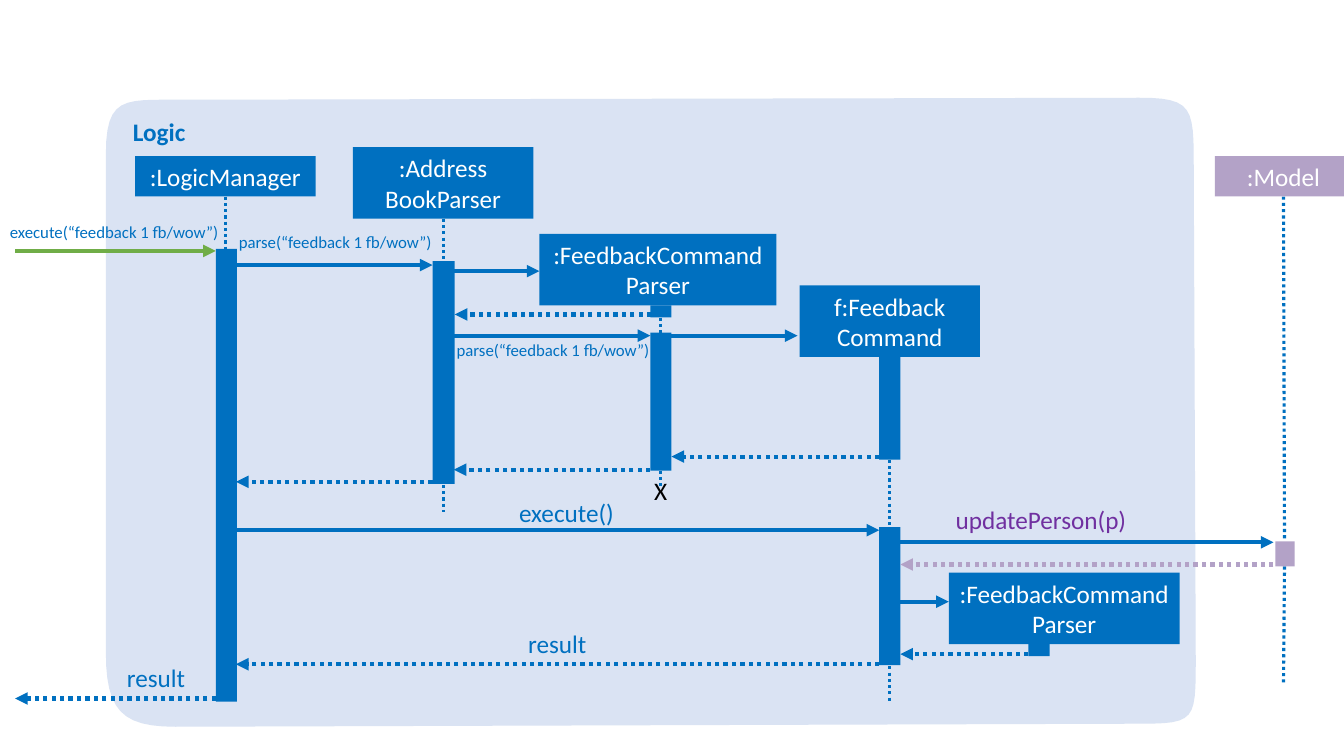
from lxml.etree import SubElement
from pptx import Presentation
from pptx.dml.color import RGBColor
from pptx.enum.dml import MSO_LINE
from pptx.enum.shapes import MSO_CONNECTOR, MSO_SHAPE
from pptx.enum.text import MSO_ANCHOR, PP_ALIGN
from pptx.oxml.ns import qn
from pptx.util import Pt

BLUE = RGBColor(0x00, 0x70, 0xC0)
PALE_BLUE = RGBColor(0xDA, 0xE3, 0xF3)
DOT_BLUE = RGBColor(0x44, 0x72, 0xC4)
GREEN = RGBColor(0x70, 0xAD, 0x47)
LILAC = RGBColor(0xB3, 0xA2, 0xC7)
PURPLE = RGBColor(0x70, 0x30, 0xA0)
WHITE = RGBColor(0xFF, 0xFF, 0xFF)
BLACK = RGBColor(0x00, 0x00, 0x00)

PX = 9144
SLIDE_WIDTH, SLIDE_HEIGHT = 1333, 750
BAR_WIDTH = 21
CURVE_STEPS = 12

PANEL_START = (105, 153)
PANEL_OUTLINE = [
    [(105, 96), (123, 99), (176, 99)],
    [(1130, 97)],
    [(1183, 97), (1184, 107), (1184, 164)],
    [(1186, 657)],
    [(1186, 714), (1185, 718), (1132, 718)],
    [(174, 721)],
    [(121, 721), (105, 705), (105, 647)],
]
LIFELINES = [
    (224, 195, 224, 247),
    (440, 217, 440, 259),
    (440, 481, 440, 508),
    (655, 315, 655, 330),
    (655, 467, 655, 484),
    (882, 456, 882, 523),
    (882, 661, 882, 696),
    (1273, 195, 1274, 537),
    (1274, 562, 1273, 678),
]
BARS = [
    (214, 247, BAR_WIDTH, 449, BLUE),
    (429, 259, BAR_WIDTH + 1, 221, BLUE),
    (645, 303, BAR_WIDTH, 12, BLUE),
    (645, 330, BAR_WIDTH, 137, BLUE),
    (872, 353, BAR_WIDTH, 103, BLUE),
    (872, 523, BAR_WIDTH, 137, BLUE),
    (1020, 639, BAR_WIDTH, 12, BLUE),
    (1265, 537, 19, 25, LILAC),
]
OBJECTS = [
    (134, 155, 179, 40, BLUE, [":LogicManager"]),
    (350, 146, 179, 71, BLUE, [":Address", "BookParser"]),
    (535, 232, 235, 71, BLUE, [":FeedbackCommand", "Parser"]),
    (793, 283, 179, 71, BLUE, ["f:Feedback", "Command"]),
    (941, 568, 229, 71, BLUE, [":FeedbackCommand", "Parser"]),
    (1205, 155, 136, 40, LILAC, [":Model"]),
]
CALLS = [
    (15, 214, 249, GREEN),
    (234, 429, 263, BLUE),
    (450, 535, 269, BLUE),
    (450, 645, 333, BLUE),
    (664, 791, 333, BLUE),
    (234, 872, 526, BLUE),
    (892, 1263, 538, BLUE),
    (893, 941, 597, BLUE),
]
RETURNS = [
    (646, 451, 312, BLUE),
    (872, 666, 453, BLUE),
    (645, 450, 466, BLUE),
    (429, 234, 478, BLUE),
    (1263, 893, 560, LILAC),
    (1020, 893, 649, BLUE),
    (872, 234, 659, BLUE),
    (214, 15, 693, BLUE),
]
LABELS = [
    (122, 110, 73, 40, "Logic", 18, BLUE, True),
    (639, 467, 33, 40, "X", 18, BLACK, False),
    (0, 215, 230, 30, "execute(“feedback 1 fb/wow”)", 12, BLUE, False),
    (227, 225, 214, 30, "parse(“feedback 1 fb/wow”)", 12, BLUE, False),
    (443, 332, 214, 30, "parse(“feedback 1 fb/wow”)", 12, BLUE, False),
    (505, 488, 115, 40, "execute()", 18, BLUE, False),
    (938, 495, 191, 40, "updatePerson(p)", 18, PURPLE, False),
    (514, 618, 79, 40, "result", 18, BLUE, False),
    (116, 652, 79, 40, "result", 18, BLUE, False),
]


def bezier(start, first, second, end):
    """Return evenly stepped points along a cubic curve, without its start."""
    points = []
    for step in range(1, CURVE_STEPS + 1):
        t = step / CURVE_STEPS
        weights = ((1 - t) ** 3, 3 * t * (1 - t) ** 2, 3 * t * t * (1 - t), t ** 3)
        corners = (start, first, second, end)
        points.append(tuple(sum(w * c[axis] for w, c in zip(weights, corners)) for axis in (0, 1)))
    return points


class SequenceDiagram:
    """Draws sequence diagram elements on one slide in a shared style."""

    font_name = "Calibri"

    def __init__(self, page):
        """Keep the slide that receives the elements."""
        self.page = page

    def scale(self, *lengths):
        """Turn px lengths into EMU."""
        return [round(length * PX) for length in lengths]

    def apply(self, target, values):
        """Set each named value on the target."""
        for name, value in values.items():
            setattr(target, name, value)

    def paint(self, shape, color):
        """Give a shape a flat fill without outline or shadow."""
        shape.shadow.inherit = False
        shape.fill.solid()
        shape.fill.fore_color.rgb = color
        shape.line.fill.background()

    def fill_text(self, frame, lines, size, color, bold=False, align=PP_ALIGN.LEFT):
        """Fill a text frame with one paragraph per line."""
        for index, line in enumerate(lines):
            para = frame.add_paragraph() if index else frame.paragraphs[0]
            para.alignment = align
            span = para.add_run()
            span.text = line
            self.apply(span.font, {"name": self.font_name, "size": Pt(size), "bold": bold})
            span.font.color.rgb = color

    def panel(self, start, segments, color):
        """Draw a closed outline made of straight and curved segments."""
        points, current = [], start
        for segment in segments:
            points += bezier(current, *segment) if len(segment) == 3 else segment
            current = segment[-1]
        builder = self.page.shapes.build_freeform(*self.scale(*start), scale=1.0)
        builder.add_line_segments([self.scale(*point) for point in points], close=True)
        self.paint(builder.convert_to_shape(), color)

    def bar(self, left, top, width, height, color):
        """Draw a plain rectangle and return it."""
        box = self.page.shapes.add_shape(MSO_SHAPE.RECTANGLE, *self.scale(left, top, width, height))
        self.paint(box, color)
        return box

    def participant(self, left, top, width, height, color, lines):
        """Draw a named object box."""
        frame = self.bar(left, top, width, height, color).text_frame
        self.apply(frame, {"margin_left": 0, "margin_right": 0, "word_wrap": True,
                           "vertical_anchor": MSO_ANCHOR.MIDDLE})
        self.fill_text(frame, lines, 18, WHITE, align=PP_ALIGN.CENTER)

    def label(self, left, top, width, height, text, size, color, bold):
        """Place a single line of text."""
        box = self.page.shapes.add_textbox(*self.scale(left, top, width, height))
        box.text_frame.word_wrap = False
        self.fill_text(box.text_frame, [text], size, color, bold)

    def line(self, ends, color, width, dotted=False, arrow=False):
        """Draw a straight line, optionally dotted or with an arrowhead."""
        link = self.page.shapes.add_connector(MSO_CONNECTOR.STRAIGHT, *self.scale(*ends))
        link.line.color.rgb = color
        dash = MSO_LINE.ROUND_DOT if dotted else MSO_LINE.SOLID
        self.apply(link.line, {"width": Pt(width), "dash_style": dash})
        properties = link.element.spPr
        if arrow:
            SubElement(properties.find(qn("a:ln")), qn("a:tailEnd"), type="triangle")
        SubElement(properties, qn("a:effectLst"))

    def message(self, start, end, y, color, dotted):
        """Draw a horizontal arrow between two lifelines."""
        self.line((start, y, end, y), color, 3, dotted, arrow=True)


def main():
    """Build the slide and save it."""
    deck = Presentation()
    deck.slide_width, deck.slide_height = SLIDE_WIDTH * PX, SLIDE_HEIGHT * PX
    diagram = SequenceDiagram(deck.slides.add_slide(deck.slide_layouts[6]))
    diagram.panel(PANEL_START, PANEL_OUTLINE, PALE_BLUE)
    diagram.line((235, 222, 235, 222), DOT_BLUE, 0.5)
    for ends in LIFELINES:
        diagram.line(ends, BLUE, 2.25, dotted=True)
    for bar in BARS:
        diagram.bar(*bar)
    for participant in OBJECTS:
        diagram.participant(*participant)
    for dotted, messages in ((False, CALLS), (True, RETURNS)):
        for message in messages:
            diagram.message(*message, dotted)
    for label in LABELS:
        diagram.label(*label)
    deck.save("out.pptx")


if __name__ == "__main__":
    main()
